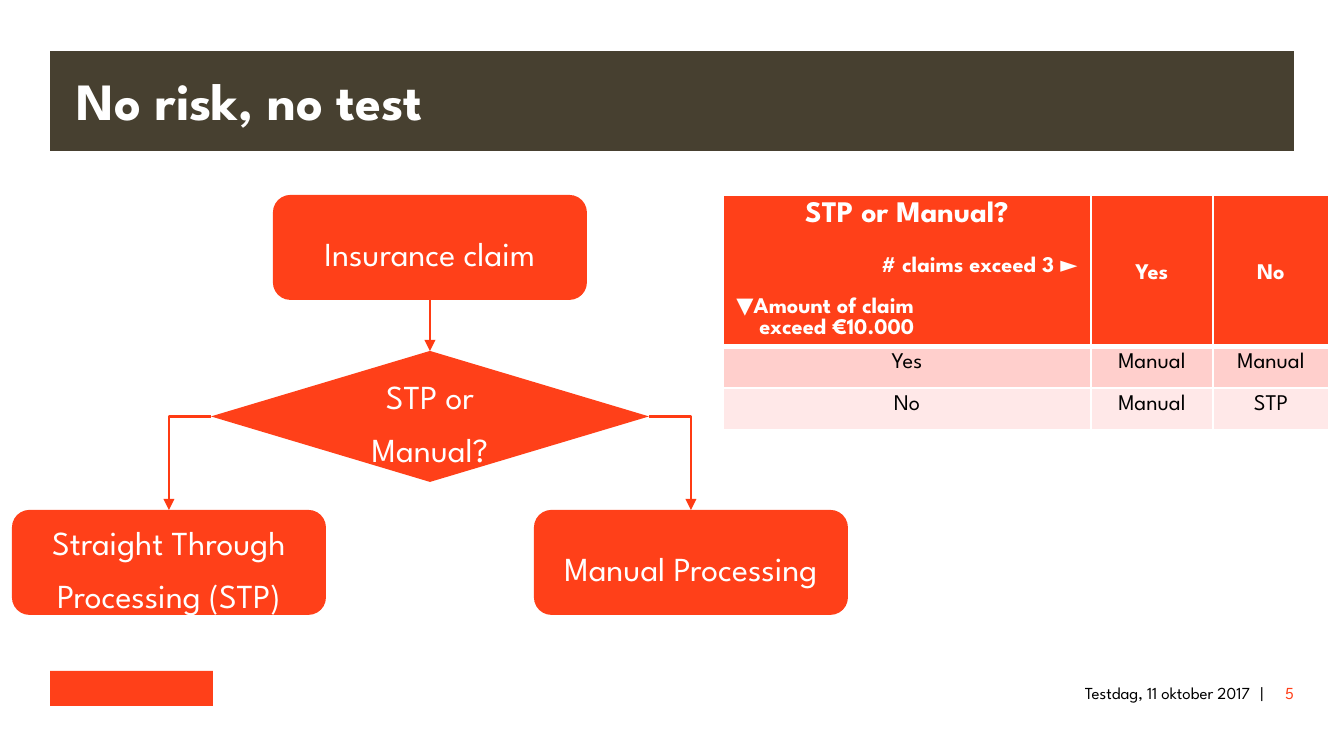
from dataclasses import dataclass

from lxml.etree import SubElement
from pptx import Presentation
from pptx.dml.color import RGBColor
from pptx.enum.shapes import MSO_CONNECTOR, MSO_SHAPE
from pptx.enum.text import MSO_ANCHOR, PP_ALIGN
from pptx.oxml.ns import qn
from pptx.util import Emu, Pt

EMU_PER_PX = 914400 / 134.4
TOP, LEFT, BOTTOM, RIGHT = range(4)


@dataclass(frozen=True)
class Theme:
    font: str = "League Spartan"
    accent: str = "FF4019"
    link: str = "FF3B13"
    banner: str = "474030"
    light: str = "FFFFFF"
    dark: str = "000000"
    bands: tuple = ("FFCFCC", "FFE8E8")
    title_size: int = 28
    node_size: int = 18
    heading_size: int = 16
    cell_size: int = 12
    footer_size: int = 9


@dataclass(frozen=True)
class Box:
    left: int
    top: int
    width: int
    height: int

    def inner(self, left, top, width, height):
        return Box(self.left + left, self.top + top, width, height)

    def emu(self):
        return [px(v) for v in (self.left, self.top, self.width, self.height)]


THEME = Theme()


def px(value):
    return Emu(round(value * EMU_PER_PX))


def rgb(color):
    return RGBColor.from_string(color)


def write(paragraph, text, *, size, color, bold=False, align=PP_ALIGN.LEFT,
          spacing=None, before=0, hanging=0):
    paragraph.text = text
    paragraph.alignment = align
    paragraph.line_spacing = spacing
    paragraph.space_before = Pt(before)
    if hanging:
        properties = paragraph._p.get_or_add_pPr()
        properties.set("marL", str(px(hanging)))
        properties.set("indent", str(-px(hanging)))
    for run in paragraph.runs:
        run.font.name = THEME.font
        run.font.size = Pt(size)
        run.font.bold = bold
        run.font.color.rgb = rgb(color)


def add_block(slide, kind, box):
    block = slide.shapes.add_shape(kind, *box.emu())
    block.shadow.inherit = False
    block.fill.solid()
    block.fill.fore_color.rgb = rgb(THEME.accent)
    block.line.fill.background()
    return block


def add_title(slide, box):
    title = slide.shapes.title
    title.left, title.top, title.width, title.height = box.emu()
    title.fill.solid()
    title.fill.fore_color.rgb = rgb(THEME.banner)
    frame = title.text_frame
    frame.vertical_anchor = MSO_ANCHOR.MIDDLE
    frame.margin_left = frame.margin_right = px(27)
    frame.margin_top = frame.margin_bottom = 0
    write(frame.paragraphs[0], "No risk, no test", size=THEME.title_size,
          color=THEME.light, bold=True, spacing=Pt(32))


def add_node(slide, kind, box, text):
    node = add_block(slide, kind, box)
    node.text_frame.word_wrap = True
    node.text_frame.vertical_anchor = MSO_ANCHOR.MIDDLE
    write(node.text_frame.paragraphs[0], text, size=THEME.node_size,
          color=THEME.light, align=PP_ALIGN.CENTER, spacing=1.3)
    return node


def add_link(slide, source, source_side, target, kind=MSO_CONNECTOR.ELBOW):
    link = slide.shapes.add_connector(kind, 0, 0, 0, 0)
    link.begin_connect(source, source_side)
    link.end_connect(target, TOP)
    link.line.color.rgb = rgb(THEME.link)
    link.line.width = Pt(1.25)
    SubElement(link.line._get_or_add_ln(), qn("a:tailEnd"), type="triangle")
    properties = link._element.spPr
    SubElement(properties, qn("a:effectLst"))
    if kind == MSO_CONNECTOR.ELBOW:
        properties.find(qn("a:prstGeom")).set("prst", "bentConnector2")


def add_flow(slide, box):
    width, height = 314, 105
    choice_width, choice_height = 438, 131
    center, right, low = box.width // 2, box.width - width, box.height - height

    def step(left, top, text):
        return add_node(slide, MSO_SHAPE.ROUNDED_RECTANGLE,
                        box.inner(left, top, width, height), text)

    straight_through = step(0, low, "Straight Through Processing (STP)")
    manual = step(right, low, "Manual Processing")
    claim = step(center - width // 2, 0, "Insurance claim")
    choice = add_node(
        slide, MSO_SHAPE.FLOWCHART_DECISION,
        box.inner(center - choice_width // 2, 156, choice_width, choice_height),
        "STP or Manual?")
    add_link(slide, claim, BOTTOM, choice, MSO_CONNECTOR.STRAIGHT)
    add_link(slide, choice, LEFT, straight_through)
    add_link(slide, choice, RIGHT, manual)


def style_cell(cell, fill, bottom):
    properties = cell._tc.get_or_add_tcPr()
    for side, points in (("lnL", 1), ("lnR", 1), ("lnT", 1), ("lnB", bottom)):
        border = SubElement(properties, qn(f"a:{side}"), w=str(Pt(points)))
        solid = SubElement(border, qn("a:solidFill"))
        SubElement(solid, qn("a:srgbClr"), val=THEME.light)
    cell.fill.solid()
    cell.fill.fore_color.rgb = rgb(fill)


def add_decision_table(slide, box):
    column_widths, row_heights = (368, 122, 116), (150, 42, 42)
    answers = (("", "Yes", "No"), ("Yes", "Manual", "Manual"), ("No", "Manual", "STP"))
    fills = (THEME.accent, *THEME.bands)
    table = slide.shapes.add_table(3, 3, *box.emu()).table
    for column, width in zip(table.columns, column_widths):
        column.width = px(width)
    for r, (row, height) in enumerate(zip(table.rows, row_heights)):
        row.height = px(height)
        header = r == 0
        for cell, answer in zip(row.cells, answers[r]):
            style_cell(cell, fills[r], 3 if header else 1)
            if answer:
                if header:
                    cell.margin_top = px(69)
                write(cell.text_frame.paragraphs[0], answer,
                      size=THEME.cell_size, bold=header, align=PP_ALIGN.CENTER,
                      color=THEME.light if header else THEME.dark)

    question = table.cell(0, 0).text_frame
    write(question.paragraphs[0], "STP or Manual?", size=THEME.heading_size,
          color=THEME.light, bold=True, align=PP_ALIGN.CENTER)
    write(question.add_paragraph(), "# claims exceed 3 ►", size=THEME.cell_size,
          color=THEME.light, bold=True, align=PP_ALIGN.RIGHT, before=15)
    write(question.add_paragraph(), "▼Amount of claim\vexceed €10.000",
          size=THEME.cell_size, color=THEME.light, bold=True, before=11, hanging=23)


def add_footer(slide, box):
    add_block(slide, MSO_SHAPE.RECTANGLE, box.inner(0, 0, 163, 35))
    notes = (
        (227, 973, "Testdag, 11 oktober 2017", THEME.dark, PP_ALIGN.RIGHT),
        (1200, 24, "|", THEME.dark, PP_ALIGN.CENTER),
        (1212, 32, "5", THEME.accent, PP_ALIGN.RIGHT),
    )
    for left, width, text, color, align in notes:
        frame = slide.shapes.add_textbox(*box.inner(left, 6, width, 28).emu()).text_frame
        frame.word_wrap = True
        frame.margin_left = frame.margin_right = 0
        frame.margin_top = frame.margin_bottom = 0
        write(frame.paragraphs[0], text, size=THEME.footer_size, color=color,
              align=align, spacing=Pt(14))


def main():
    deck = Presentation()
    deck.slide_width, deck.slide_height = px(1344), px(756)
    slide = deck.slides.add_slide(deck.slide_layouts[5])
    add_title(slide, Box(50, 51, 1244, 100))
    add_flow(slide, Box(12, 195, 836, 420))
    add_decision_table(slide, Box(723, 195, 606, 234))
    add_footer(slide, Box(50, 671, 1244, 35))
    deck.save("out.pptx")


if __name__ == "__main__":
    main()
